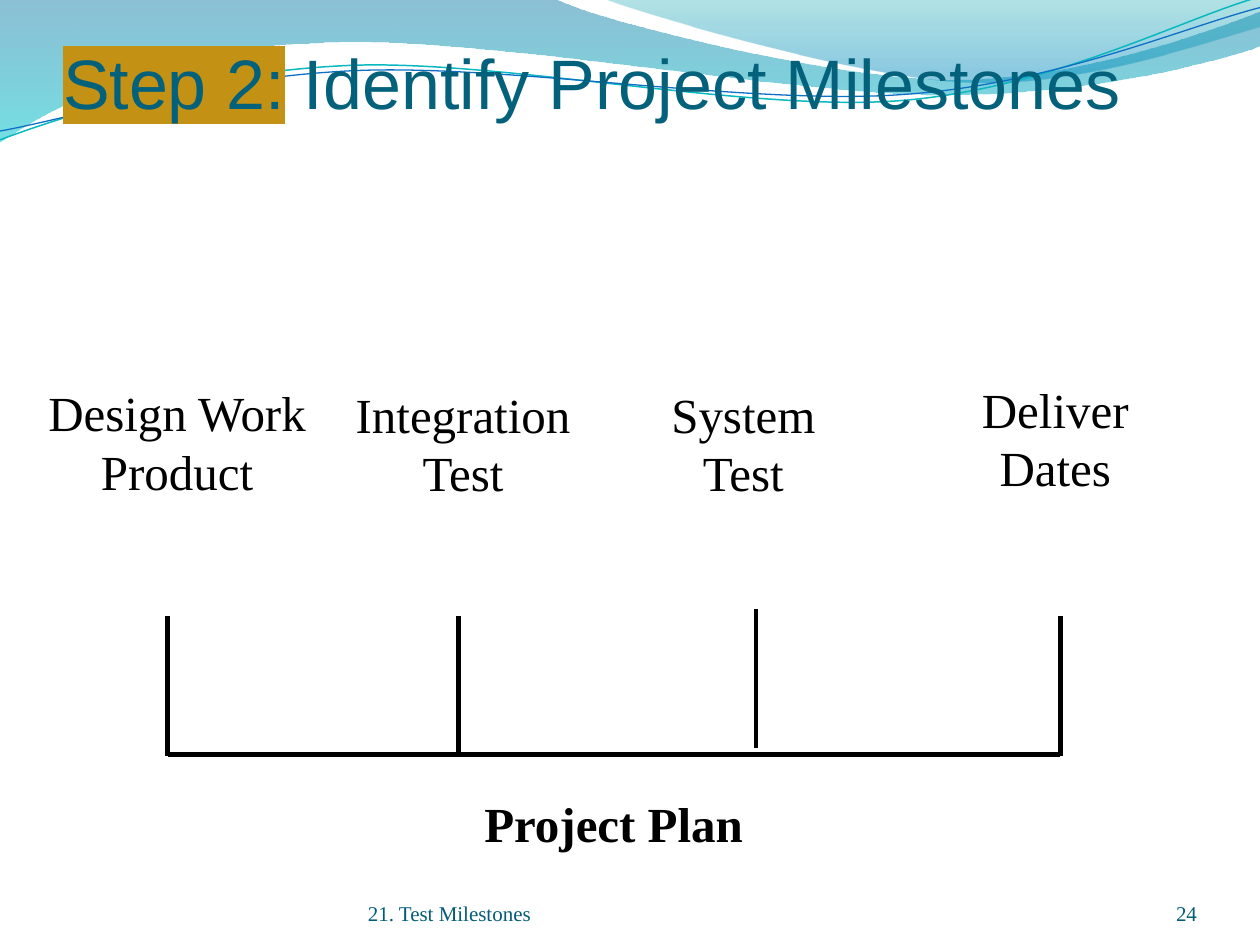
from dataclasses import dataclass
from math import cos, radians, sin

from lxml import etree
from pptx import Presentation
from pptx.dml.color import RGBColor
from pptx.enum.shapes import MSO_CONNECTOR
from pptx.enum.text import MSO_ANCHOR, PP_ALIGN
from pptx.oxml.ns import qn
from pptx.util import Inches, Pt

STRAIGHT = MSO_CONNECTOR.STRAIGHT
TOP, BOTTOM = MSO_ANCHOR.TOP, MSO_ANCHOR.BOTTOM
LEFT, CENTER, RIGHT = PP_ALIGN.LEFT, PP_ALIGN.CENTER, PP_ALIGN.RIGHT


@dataclass
class Theme:
    title_color: str = "04617B"
    highlight: str = "C39113"
    footer_color: str = "045D75"
    ink: str = "000000"
    title_font: str = "Arial"
    body_font: str = "Times New Roman"
    title_size: int = 40
    label_size: int = 28
    footer_size: int = 12


theme = Theme()


def add_wave(shapes, area, pieces, closed, tilt=0):
    left, top, width, height = area
    turn = radians(-tilt)
    local = []
    for piece in pieces:
        offsets = [(x - left - width / 2, y - top - height / 2)
                   for x, y in zip(piece[::2], piece[1::2])]
        local.append([(Inches(width / 2 + dx * cos(turn) - dy * sin(turn)),
                       Inches(height / 2 + dx * sin(turn) + dy * cos(turn)))
                      for dx, dy in offsets])
    builder = shapes.build_freeform(*local[0][-1])
    builder.add_line_segments([points[-1] for points in local[1:]], close=closed)
    wave = builder.convert_to_shape()
    wave.left, wave.top, wave.width, wave.height = (Inches(value) for value in area)
    wave.rotation = tilt
    wave.shadow.inherit = False
    outline = next(wave._element.iter(qn("a:path")))
    outline.set("w", str(Inches(width)))
    outline.set("h", str(Inches(height)))
    for segment, points in zip(list(outline), local):
        if len(points) == 3:
            segment.tag = qn("a:cubicBezTo")
        for node in list(segment):
            segment.remove(node)
        for x, y in points:
            etree.SubElement(segment, qn("a:pt"), x=str(x), y=str(y))
    return wave


def add_label(shapes, text, area, size, color, align, anchor=TOP, bold=False, margins=None):
    box = shapes.add_textbox(*(Inches(value) for value in area))
    frame = box.text_frame
    frame.word_wrap = True
    frame.vertical_anchor = anchor
    if margins is not None:
        frame.margin_left = frame.margin_right = margins
        frame.margin_top = frame.margin_bottom = margins
    frame.text = text
    para = frame.paragraphs[0]
    para.alignment = align
    font = para.runs[0].font
    font.name, font.size, font.bold = theme.body_font, Pt(size), bold
    font.color.rgb = RGBColor.from_string(color)


deck = Presentation()
deck.slide_width, deck.slide_height = Inches(10), Inches(7.5)
page = deck.slides.add_slide(deck.slide_layouts[5])
shapes = page.shapes

bands = [
    ((-0.01, -0.01, 10.02, 1.14),
     [(0, 0), (4.4, -0.01), (4.76, 0.17, 6.64, 0.63, 7.58, 0.63),
      (8.53, 0.63, 9.58, 0.26, 10, 0.09), (10.01, 0.36),
      (9.83, 0.44, 8.7, 0.76, 7.46, 0.75), (6.22, 0.75, 3.82, 0.28, 2.57, 0.34),
      (1.29, 0.36, 0.46, 0.83, -0.01, 1.13), (0, 0)],
     [(0, "0074A1", 45), (1, "00C6CF", 55)]),
    ((4.79, -0.01, 5.21, 0.7),
     [(4.79, -0.01), (5.09, 0.11, 6.82, 0.62, 7.69, 0.65),
      (8.56, 0.69, 9.61, 0.32, 10, 0.21), (10, 0), (4.79, -0.01)],
     [(0, "00A1A9", 30), (0.8, "008BBF", 45)]),
]
for area, pieces, stops in bands:
    band = add_wave(shapes, area, pieces, True)
    band.line.fill.background()
    band.fill.gradient()
    band.fill.gradient_angle = 270
    for stop, (position, color, _) in zip(band.fill.gradient_stops, stops):
        stop.position = position
        stop.color.rgb = RGBColor.from_string(color)
    gradient = band._element.spPr.find(qn("a:gradFill"))
    for color_node, (_, _, opacity) in zip(gradient.iter(qn("a:srgbClr")), stops):
        etree.SubElement(color_node, qn("a:alpha")).set("val", str(opacity * 1000))

strands = [
    ((-0.02, 0.22, 10.02, 0.71),
     [(0, 1.11), (0.48, 0.93, 1.58, 0.57, 2.77, 0.52),
      (3.95, 0.47, 5.93, 0.89, 7.13, 0.8), (8.33, 0.71, 9.38, 0.15, 9.98, -0.02)],
     "0AB8BF", 0.85),
    ((-0.02, 0.3, 10.03, 0.58),
     [(0, 1.04), (0.47, 0.96, 1.64, 0.61, 2.83, 0.56),
      (4.03, 0.51, 5.97, 0.84, 7.17, 0.75), (8.36, 0.67, 9.41, 0.21, 10, 0.06)],
     "0F6FC6", 0.75),
]
strand_group = shapes.add_group_shape()
for area, pieces, color, width in strands:
    strand = add_wave(strand_group.shapes, area, pieces, False, tilt=-2.7)
    strand.fill.background()
    strand.line.color.rgb = RGBColor.from_string(color)
    strand.line.width = Pt(width)

title = shapes.title
shapes._spTree.append(title._element)
title.left, title.top, title.width, title.height = (
    Inches(value) for value in (0.5, 0.08, 9, 0.9))
frame = title.text_frame
frame.word_wrap = True
frame.vertical_anchor = BOTTOM
frame.margin_left = frame.margin_right = frame.margin_bottom = 0
frame.margin_top = Inches(0.05)
para = frame.paragraphs[0]
para.alignment = LEFT
for text in ("Step 2:", " Identify Project Milestones"):
    span = para.add_run()
    span.text = text
    span.font.name, span.font.size = theme.title_font, Pt(theme.title_size)
    span.font.color.rgb = RGBColor.from_string(theme.title_color)
highlight = etree.Element(qn("a:highlight"))
etree.SubElement(highlight, qn("a:srgbClr")).set("val", theme.highlight)
para.runs[0].font._element.find(qn("a:solidFill")).addnext(highlight)

for text, area, align in (("21. Test Milestones", (2.92, 6.95, 3.67, 0.4), LEFT),
                          ("24", (8.67, 6.95, 0.83, 0.4), RIGHT)):
    add_label(shapes, text, area, theme.footer_size, theme.footer_color, align, BOTTOM, margins=0)

tick_height = 1.11
timeline = [(1.33, 5.99, 8.41, 5.99)]
timeline += [(x, bottom, x, bottom - tick_height)
             for x, bottom in ((1.33, 6), (3.64, 6), (6, 5.94), (8.42, 6))]
timeline_group = shapes.add_group_shape()
for ends in timeline:
    line = timeline_group.shapes.add_connector(STRAIGHT, *(Inches(value) for value in ends))
    line.line.color.rgb = RGBColor.from_string(theme.ink)
    line.line.width = Pt(2.75)
    etree.SubElement(line._element.spPr, qn("a:effectLst"))

labels = [
    ("Project Plan", (1.33, 6.25, 7.08, 0.57), True),
    ("Design Work Product", (-0.19, 2.99, 3.19, 1.04), False),
    ("Integration Test", (2.42, 3, 2.51, 1.04), False),
    ("System Test", (5.17, 3, 1.46, 1.04), False),
    ("Deliver Dates", (7.25, 2.96, 2.25, 1.04), False),
]
for text, area, bold in labels:
    add_label(shapes, text, area, theme.label_size, theme.ink, CENTER, bold=bold)

deck.save("out.pptx")
